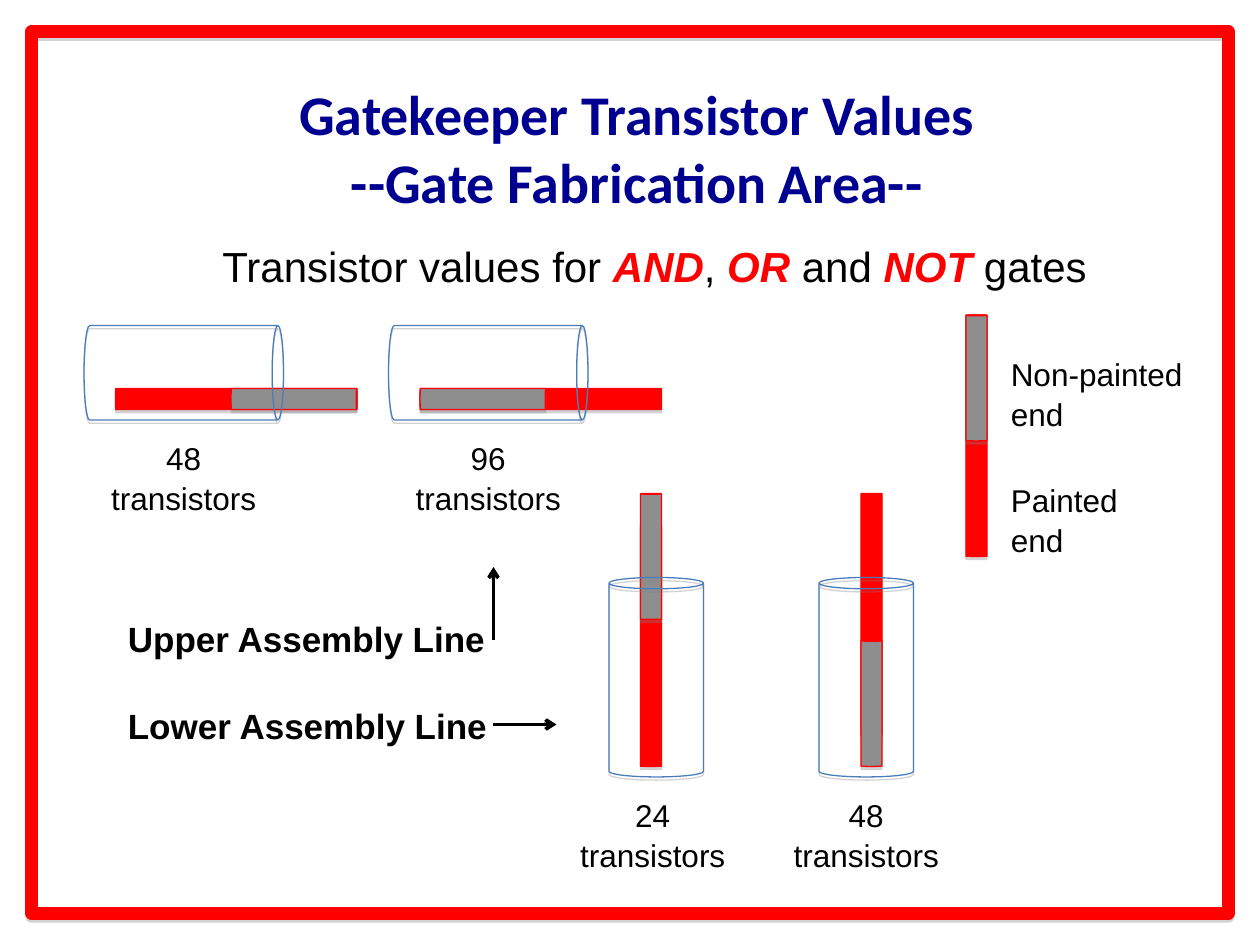
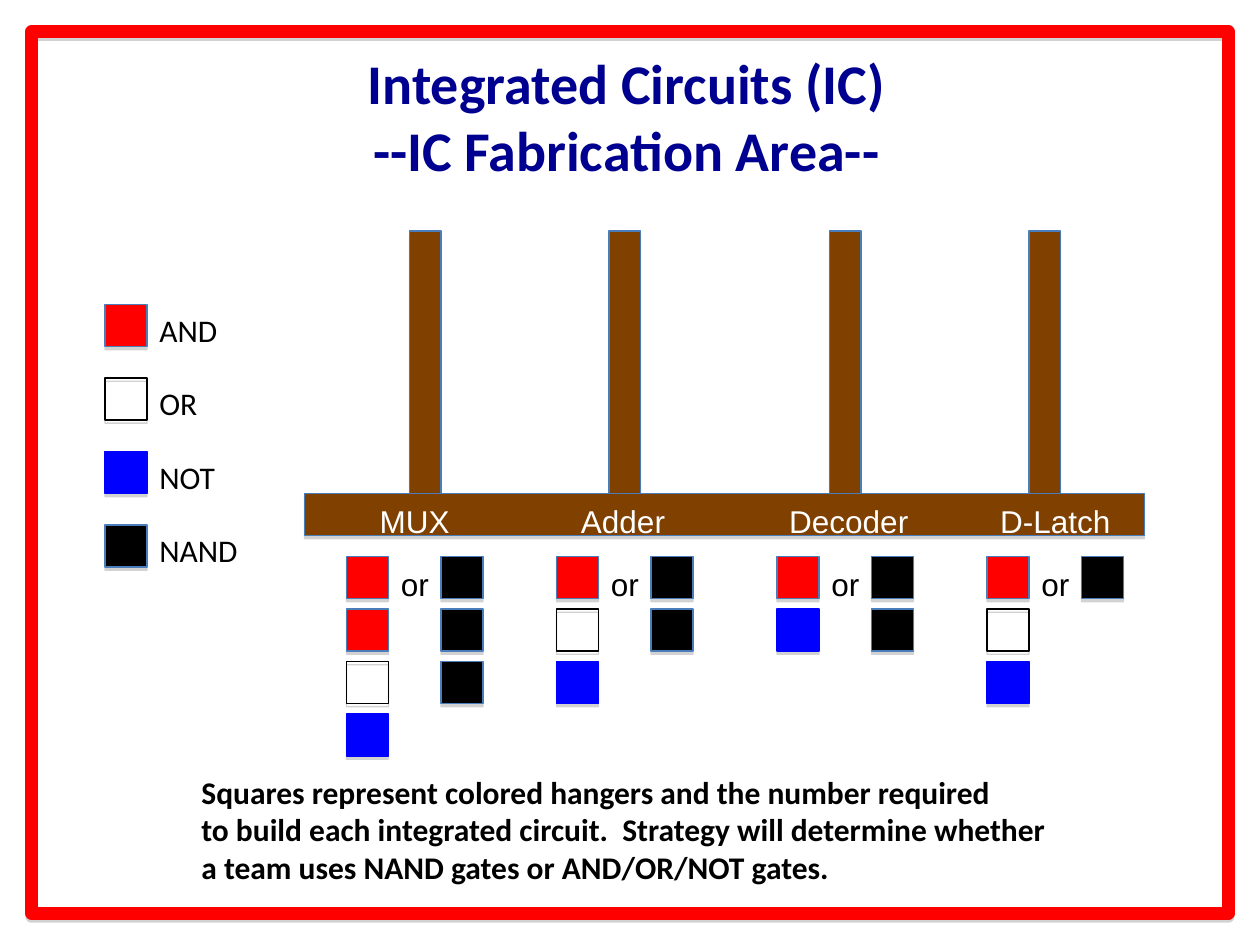
from dataclasses import dataclass

from lxml.etree import SubElement
from pptx import Presentation
from pptx.dml.color import RGBColor
from pptx.enum.shapes import MSO_CONNECTOR as Conn, MSO_SHAPE as Kind
from pptx.enum.text import MSO_ANCHOR as Anchor, MSO_AUTO_SIZE as Auto, PP_ALIGN as Align
from pptx.oxml.ns import qn
from pptx.util import Pt

RED, BLUE, BLACK, WHITE = "FF0000", "0000FF", "000000", "FFFFFF"
NAVY, STEEL, GRAY, BROWN = "000090", "4A7EBB", "8E8E8E", "804000"
SANS, HEAD = "Arial", "Calibri"


@dataclass
class Rod:
    x: float
    y: float
    tip_x: float
    tip_y: float
    turn: int = 0


@dataclass
class Jar:
    x: float
    y: float
    mid: float
    base: float
    count: str
    turn: int = 0


@dataclass
class Chip:
    name: str
    mid: float
    post: float
    left: float
    gates: list[str]
    nands: int


@dataclass
class Paint:
    fill: str | None
    line: str


GATES = {
    "AND": Paint(RED, STEEL),
    "OR": Paint(None, BLACK),
    "NOT": Paint(BLUE, BLUE),
    "NAND": Paint(BLACK, STEEL),
}

RODS = [
    Rod(366, 300, 366, 282),
    Rod(492, 282, 492, 366),
    Rod(129, 159, 162, 192, 90),
    Rod(303, 159, 270, 192, 90),
    Rod(552, 180, 552, 180),
]

JARS = [
    Jar(348, 330, 373, 450, "24"),
    Jar(468, 330, 495, 450, "48"),
    Jar(78, 156, 105, 246, "48", 90),
    Jar(252, 156, 279, 246, "96", 90),
]

CHIPS = [
    Chip("MUX", 237, 234, 198, ["AND", "AND", "OR", "NOT"], 3),
    Chip("Adder", 356, 348, 318, ["AND", "OR", "NOT"], 2),
    Chip("Decoder", 485, 474, 444, ["AND", "NOT"], 2),
    Chip("D-Latch", 603, 588, 564, ["AND", "OR", "NOT"], 1),
]


def tint(hue: str) -> RGBColor:
    return RGBColor.from_string(hue)


def shade(box) -> None:
    cast = SubElement(box, qn("a:outerShdw"), dist=str(Pt(1.8)), dir="5400000", rotWithShape="0")
    hue = SubElement(cast, qn("a:srgbClr"), val="808080")
    SubElement(hue, qn("a:alpha"), val="35000")


def write(frame, text: str, *, size: float = 18, font: str = SANS, hue: str = BLACK,
          bold: bool = False, align: Align = Align.LEFT, wrap: bool = False,
          gap: float = 0, cast: bool = False) -> None:
    frame.word_wrap = wrap
    frame.auto_size = Auto.NONE
    frame.vertical_anchor = Anchor.TOP
    for side in ("left", "right"):
        setattr(frame, f"margin_{side}", Pt(7.2))
    for side in ("top", "bottom"):
        setattr(frame, f"margin_{side}", Pt(3.6))
    for row, line in enumerate(text.split("\n")):
        para = frame.add_paragraph() if row else frame.paragraphs[0]
        para.alignment = align
        para.line_spacing = 1.06 if font == SANS else 1.0
        para.space_before = Pt(gap if row else 0)
        for part, words in enumerate(line.split("*")):
            loud = part % 2 == 1
            run = para.add_run()
            run.text = words
            face = run.font
            face.name, face.size = font, Pt(size)
            face.bold, face.italic = bold or loud, loud
            face.color.rgb = tint(RED if loud else hue)
            if cast:
                props = run._r.get_or_add_rPr()
                glow = SubElement(props, qn("a:effectLst"))
                shade(glow)
                props.find(qn("a:solidFill")).addnext(glow)


def label(slide, x: float, y: float, wide: float, high: float, text: str, **form) -> None:
    box = slide.shapes.add_textbox(Pt(x), Pt(y), Pt(wide), Pt(high))
    write(box.text_frame, text, **form)


def draw(slide, kind: Kind, x: float, y: float, wide: float, high: float,
         fill: str | None, line: str, width: float = 0.74, turn: int = 0,
         cap: float | None = None) -> None:
    shape = slide.shapes.add_shape(kind, Pt(x), Pt(y), Pt(wide), Pt(high))
    shape.rotation = turn
    if cap is not None:
        shape.adjustments[0] = cap
    if fill:
        shape.fill.solid()
        shape.fill.fore_color.rgb = tint(fill)
    else:
        shape.fill.background()
    shape.line.color.rgb = tint(line)
    shape.line.width = Pt(width)
    shape.shadow.inherit = False
    shade(shape._element.spPr.find(qn("a:effectLst")))


def arrow(slide, x: float, y: float, to_x: float, to_y: float) -> None:
    link = slide.shapes.add_connector(Conn.STRAIGHT, Pt(x), Pt(y), Pt(to_x), Pt(to_y))
    link.line.color.rgb = tint(BLACK)
    link.line.width = Pt(2)
    props = link._element.spPr
    SubElement(props.find(qn("a:ln")), qn("a:tailEnd"), type="arrow")
    SubElement(props, qn("a:effectLst"))


def start(deck, text: str, x: float, y: float, wide: float):
    slide = deck.slides.add_slide(deck.slide_layouts[5])
    title = slide.shapes.title
    title.left, title.top, title.width, title.height = Pt(x), Pt(y), Pt(wide), Pt(84)
    write(title.text_frame, text, size=32, font=HEAD, hue=NAVY, bold=True,
          align=Align.CENTER, wrap=True, cast=True)
    return slide


def frame(slide) -> None:
    draw(slide, Kind.RECTANGLE, 18, 18, 684, 504, None, RED, 7)


def square(slide, x: float, y: float, gate: str) -> None:
    paint = GATES[gate]
    draw(slide, Kind.RECTANGLE, x, y, 24, 24, paint.fill, paint.line)


def values(deck) -> None:
    slide = start(deck, "Gatekeeper Transistor Values\n--Gate Fabrication Area--", 154, 42, 420)
    label(slide, 120, 132, 516, 36,
          "Transistor values for *AND*, *OR* and *NOT* gates", size=24, wrap=True, cast=True)
    for rod in RODS:
        draw(slide, Kind.CAN, rod.x, rod.y, 12, 138, RED, RED, turn=rod.turn, cap=0.02)
        draw(slide, Kind.CAN, rod.tip_x, rod.tip_y, 12, 72, GRAY, RED, turn=rod.turn, cap=0.04)
    for jar in JARS:
        draw(slide, Kind.CAN, jar.x, jar.y, 54, 114, None, STEEL, turn=jar.turn, cap=0.12)
        label(slide, jar.mid - 57, jar.base, 114, 50, f"{jar.count}\ntransistors",
              align=Align.CENTER, wrap=True)
    label(slide, 570.5, 198, 112, 50, "Non-painted\nend")
    label(slide, 570.5, 270, 76, 50, "Painted\nend")
    label(slide, 66, 348, 220, 79, "Upper Assembly Line\nLower Assembly Line",
          size=20, bold=True, gap=24)
    arrow(slide, 282, 366, 282, 324)
    arrow(slide, 282, 414, 318, 414)
    frame(slide)


def circuits(deck) -> None:
    slide = start(deck, "Integrated Circuits (IC)\n--IC Fabrication Area--", 157, 24, 402)
    for row, gate in enumerate(GATES):
        y = 174 + 42 * row
        square(slide, 60, y, gate)
        label(slide, 84, y, 60, 29, gate, font=HEAD)
    for chip in CHIPS:
        draw(slide, Kind.RECTANGLE, chip.post, 132, 18, 168, BROWN, STEEL)
    draw(slide, Kind.RECTANGLE, 174, 282, 480, 24, BROWN, STEEL)
    for chip in CHIPS:
        label(slide, chip.mid - 42, 282, 84, 29, chip.name, hue=WHITE, align=Align.CENTER)
        label(slide, chip.left + 24, 318, 30, 29, "or")
        for x, stack in ((chip.left, chip.gates), (chip.left + 54, ["NAND"] * chip.nands)):
            for row, gate in enumerate(stack):
                square(slide, x, 318 + 30 * row, gate)
    label(slide, 108, 438, 516, 72,
          "Squares represent colored hangers and the number required\n"
          "to build each integrated circuit.  Strategy will determine whether\n"
          "a team uses NAND gates or AND/OR/NOT gates.",
          font=HEAD, bold=True, wrap=True)
    frame(slide)


def main() -> None:
    deck = Presentation()
    deck.slide_width, deck.slide_height = Pt(720), Pt(540)
    values(deck)
    circuits(deck)
    deck.save("out.pptx")


main()
